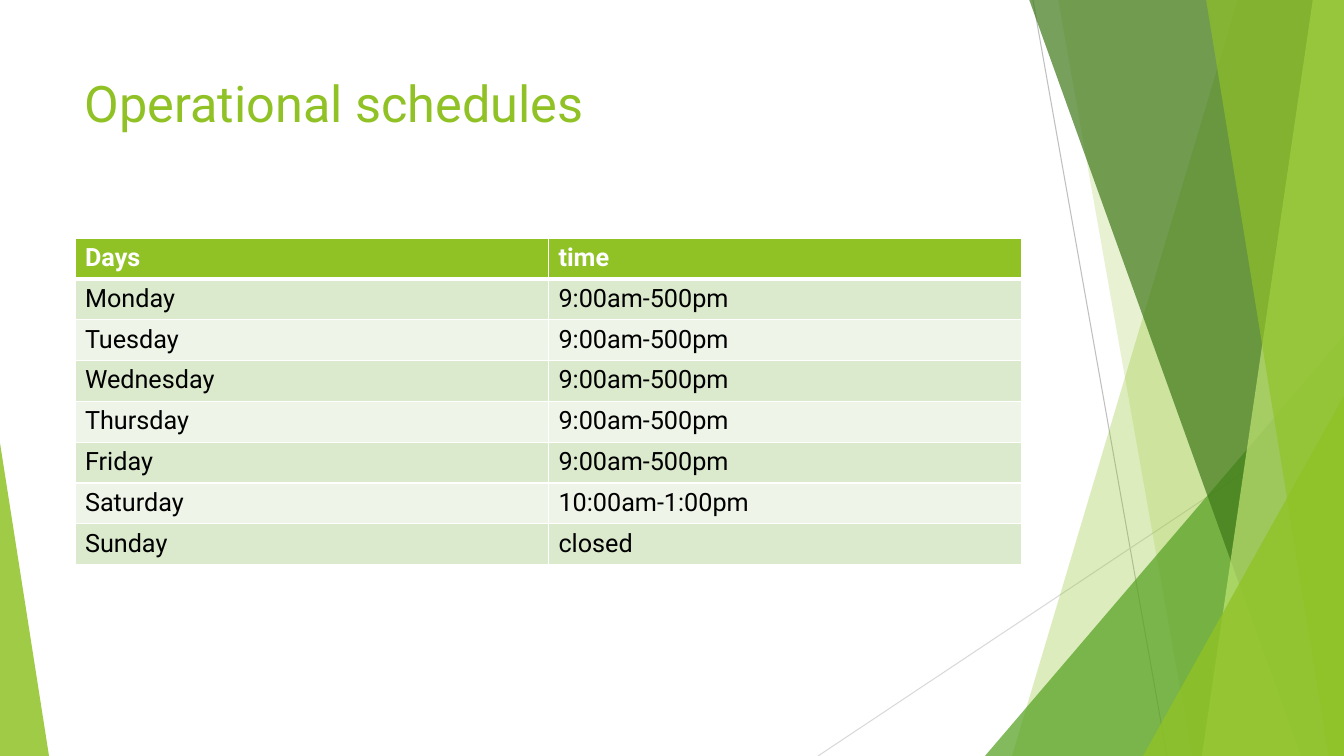
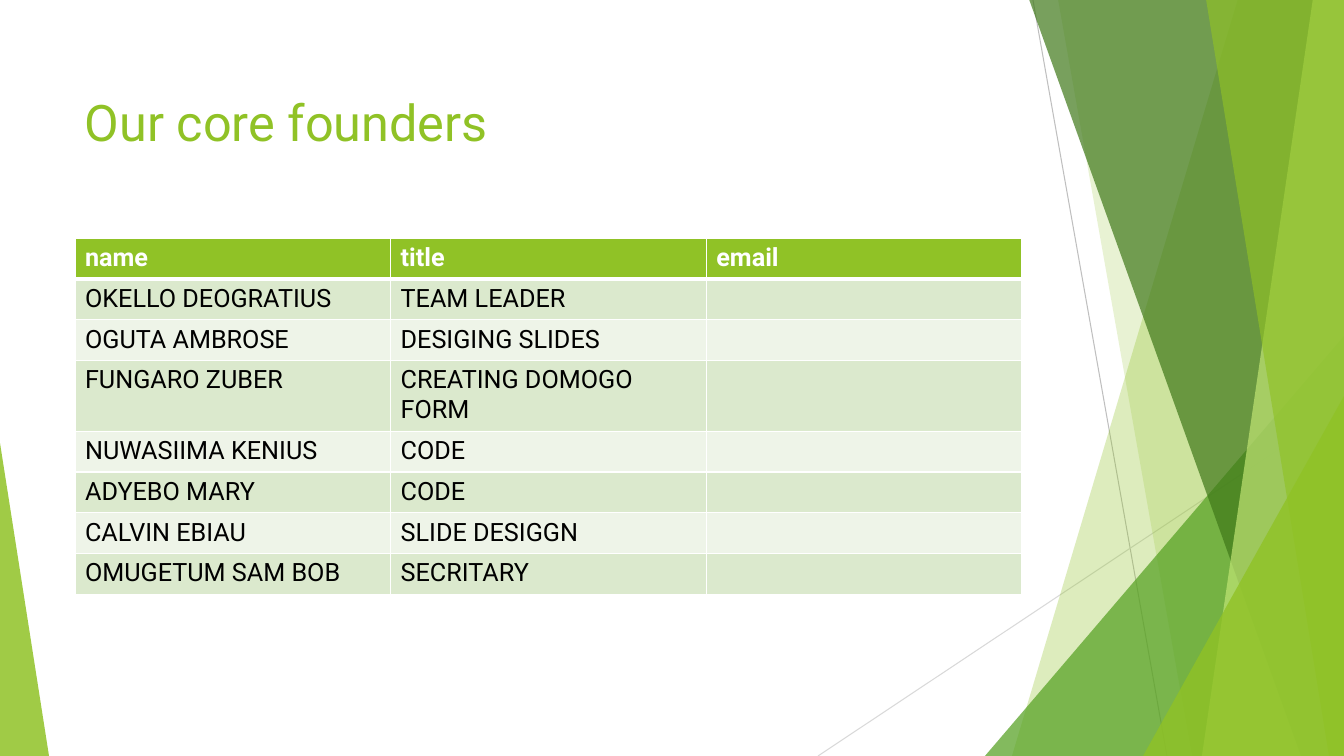
"""Build two slides with a title and a table beside a faceted green edge."""
from lxml import etree
from pptx import Presentation
from pptx.dml.color import RGBColor
from pptx.enum.shapes import MSO_CONNECTOR, MSO_SHAPE
from pptx.enum.text import MSO_ANCHOR
from pptx.oxml.ns import qn
from pptx.util import Pt

TRIANGLE = MSO_SHAPE.ISOSCELES_TRIANGLE
STRAIGHT = MSO_CONNECTOR.STRAIGHT
TOP = MSO_ANCHOR.TOP

GREEN = RGBColor(0x90, 0xC2, 0x26)
LEAF = RGBColor(0x54, 0xA0, 0x21)
FOREST = RGBColor(0x3F, 0x78, 0x19)
LIME = RGBColor(0xC0, 0xE4, 0x74)
SILVER = RGBColor(0xBF, 0xBF, 0xBF)
MIST = RGBColor(0xD9, 0xD9, 0xD9)
ROW_DARK = RGBColor(0xDB, 0xE9, 0xCD)
ROW_LIGHT = RGBColor(0xEE, 0xF4, 0xE8)
WHITE = RGBColor(0xFF, 0xFF, 0xFF)
BLACK = RGBColor(0, 0, 0)

WEEKDAY = "9:00am-500pm"
SLIDES = [
    {"title": "Operational schedules", "title_top": 67, "rows": [
        ("Days", "time"),
        ("Monday", WEEKDAY),
        ("Tuesday", WEEKDAY),
        ("Wednesday", WEEKDAY),
        ("Thursday", WEEKDAY),
        ("Friday", WEEKDAY),
        ("Saturday", "10:00am-1:00pm"),
        ("Sunday", "closed")]},
    {"title": "Our core founders", "title_top": 86, "rows": [
        ("name", "title", "email"),
        ("OKELLO DEOGRATIUS", "TEAM LEADER", ""),
        ("OGUTA AMBROSE", "DESIGING SLIDES", ""),
        ("FUNGARO ZUBER", "CREATING DOMOGO FORM", ""),
        ("NUWASIIMA KENIUS", "CODE", ""),
        ("ADYEBO MARY", "CODE", ""),
        ("CALVIN EBIAU", "SLIDE DESIGGN", ""),
        ("OMUGETUM SAM BOB", "SECRITARY", "")]},
]

WIDTH, HEIGHT = 1344, 756
EMU_PER_PX = 12192000 / WIDTH
LEFT, CONTENT_W = 75, 947
TITLE_H, TABLE_TOP, TABLE_H = 145, 238, 327

LINES = [((1033, 0, 1167, HEIGHT), SILVER), ((WIDTH, 406, 818, HEIGHT), MIST)]
FACETS = [
    ("band", (1238, 1012), GREEN, 30),
    ("band", (1058, 1192), GREEN, 20),
    ("triangle", (985, 336, WIDTH, 1), LEAF, 72),
    ("band", (1029, 1301), FOREST, 70),
    ("band", (1313, 1202), LIME, 70),
    ("band", (1206, 1329), GREEN, 65),
    ("triangle", (1143, 396, WIDTH, 1), GREEN, 80),
    ("triangle", (0, 443, 49, 0), GREEN, 85),
]

TITLE_FONT = {"name": "Roboto", "size": Pt(36), "bold": False}
HEAD_FONT = {"name": "Roboto", "size": Pt(18), "bold": True}
BODY_FONT = {**HEAD_FONT, "bold": False}


def px(*values):
    return [round(v * EMU_PER_PX) for v in values]


def write(tf, text, font, color):
    r = tf.paragraphs[0].add_run()
    r.text = text
    for key, value in font.items():
        setattr(r.font, key, value)
    r.font.color.rgb = color


def add_band(shapes, top_x, bottom_x):
    corners = [(top_x, -1), (WIDTH, -1), (WIDTH, HEIGHT), (bottom_x, HEIGHT)]
    start, *rest = [px(*c) for c in corners]
    builder = shapes.build_freeform(*start, scale=1)
    builder.add_line_segments(rest, close=True)
    return builder.convert_to_shape()


def add_triangle(shapes, left, top, right, apex):
    sp = shapes.add_shape(TRIANGLE, *px(left, top, right - left, HEIGHT - top))
    sp.adjustments[0] = apex
    return sp


def add_edge(s):
    shapes = s.shapes.add_group_shape().shapes
    for ends, color in LINES:
        line = shapes.add_connector(STRAIGHT, *px(*ends))
        line.line.color.rgb = color
        line.line.width = Pt(0.75)
        etree.SubElement(line._element.spPr, qn("a:effectLst"))
    draw = {"band": add_band, "triangle": add_triangle}
    for kind, place, color, opacity in FACETS:
        sp = draw[kind](shapes, *place)
        sp.shadow.inherit = False
        sp.line.fill.background()
        sp.fill.solid()
        sp.fill.fore_color.rgb = color
        clr = sp._element.spPr.find(qn("a:solidFill"))[0]
        etree.SubElement(clr, qn("a:alpha"), val=str(opacity * 1000))


def add_title(s, text, top):
    tf = s.shapes.add_textbox(*px(LEFT, top, CONTENT_W, TITLE_H)).text_frame
    tf.word_wrap = True
    tf.vertical_anchor = TOP
    write(tf, text, TITLE_FONT, GREEN)


def set_borders(cell, widths):
    tc_pr = cell._tc.get_or_add_tcPr()
    for side, width in widths.items():
        ln = etree.SubElement(tc_pr, qn(f"a:ln{side}"), w=str(Pt(width)))
        fill = etree.SubElement(ln, qn("a:solidFill"))
        etree.SubElement(fill, qn("a:srgbClr"), val=str(WHITE))


def add_grid(s, rows):
    frame = s.shapes.add_table(len(rows), len(rows[0]),
                               *px(LEFT, TABLE_TOP, CONTENT_W, TABLE_H))
    table = frame.table
    table.horz_banding = False
    for i, row in enumerate(rows):
        head = i == 0
        fill = GREEN if head else (ROW_LIGHT, ROW_DARK)[i % 2]
        font, color = (HEAD_FONT, WHITE) if head else (BODY_FONT, BLACK)
        widths = {"L": 1, "R": 1, "T": 3 if i == 1 else 1, "B": 3 if head else 1}
        for j, text in enumerate(row):
            cell = table.cell(i, j)
            set_borders(cell, widths)
            cell.fill.solid()
            cell.fill.fore_color.rgb = fill
            if text:
                write(cell.text_frame, text, font, color)


prs = Presentation()
prs.slide_width, prs.slide_height = px(WIDTH, HEIGHT)
for content in SLIDES:
    s = prs.slides.add_slide(prs.slide_layouts[6])
    add_edge(s)
    add_title(s, content["title"], content["title_top"])
    add_grid(s, content["rows"])
prs.save("out.pptx")
